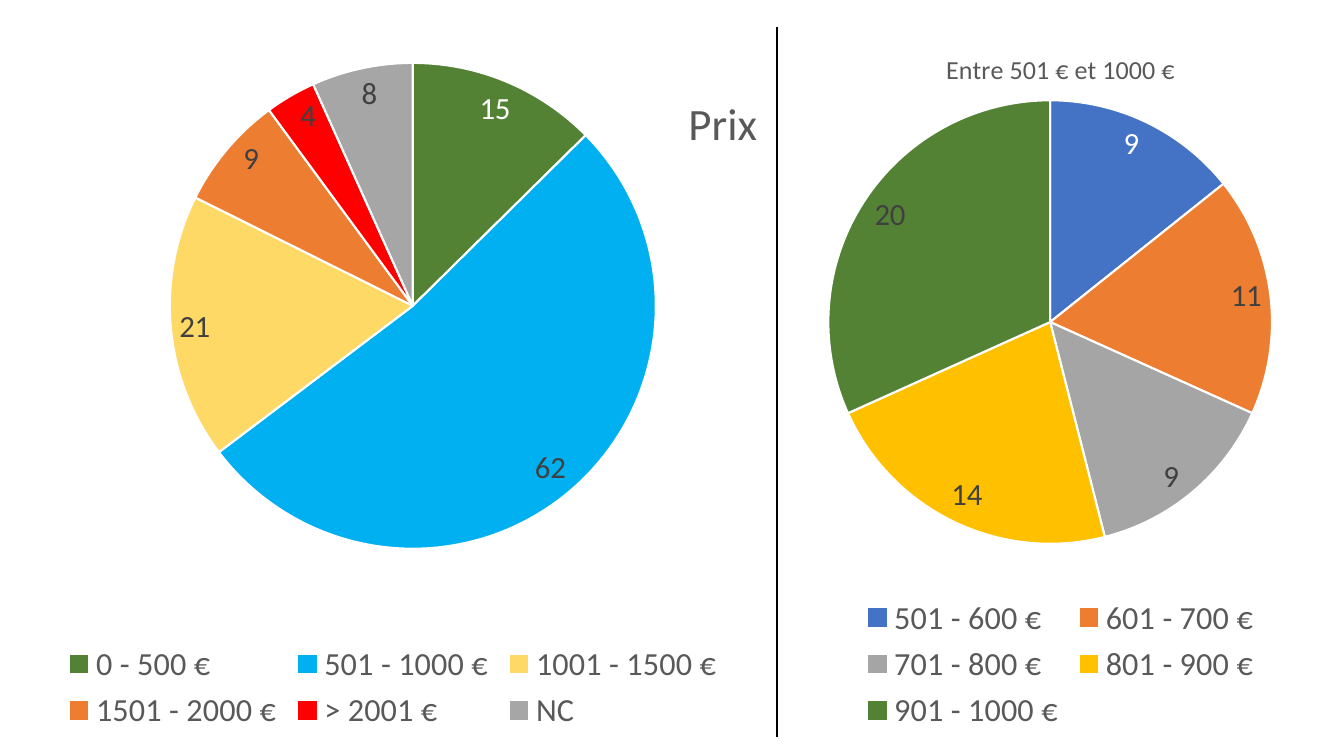
from lxml.etree import SubElement
from pptx import Presentation
from pptx.chart.data import CategoryChartData
from pptx.dml.color import RGBColor
from pptx.enum.chart import XL_CHART_TYPE, XL_LABEL_POSITION, XL_LEGEND_POSITION
from pptx.enum.shapes import MSO_CONNECTOR
from pptx.oxml.ns import qn
from pptx.util import Inches, Pt

COLORS = {
    "green": "548235", "sky": "00B0F0", "yellow": "FFD966", "orange": "ED7D31",
    "red": "FF0000", "grey": "A6A6A6", "blue": "4472C4", "mid_grey": "A5A5A5",
    "gold": "FFC000", "text": "595959", "label": "404040",
    "white": "FFFFFF", "black": "000000",
}
FONT = "Calibri"


def style_font(font, size, color):
    font.name, font.size, font.bold = FONT, Pt(size), False
    font.color.rgb = RGBColor.from_string(COLORS[color])


def set_layout(parent, index, shares, inner=False):
    """Place a chart part by shares of the chart area: x, y and optionally w, h."""
    for old in parent.findall(qn("c:layout")):
        parent.remove(old)
    layout = SubElement(parent, qn("c:layout"))
    parent.insert(index, layout)
    manual = SubElement(layout, qn("c:manualLayout"))
    if inner:
        SubElement(manual, qn("c:layoutTarget")).set("val", "inner")
    for axis in "xy":
        SubElement(manual, qn(f"c:{axis}Mode")).set("val", "edge")
    for name, share in zip("xywh", shares):
        SubElement(manual, qn(f"c:{name}")).set("val", str(share))


deck = Presentation()
deck.slide_width, deck.slide_height = Inches(13.33), Inches(7.5)
page = deck.slides.add_slide(deck.slide_layouts[6])

# Page areas: all prices on the left, the middle range on the right
split, top, bottom = Inches(7.71), Inches(0.27), Inches(7.31)
pies = [
    {
        "title": "Prix", "title_size": 32, "title_at": (0.865, 0.09),
        "area": (0, Inches(0.19), Inches(7.8), Inches(7.12)),
        "plot": (0.216, 0.061, 0.618, 0.677),
        "slices": [("0 - 500 €", 15, "green"), ("501 - 1000 €", 62, "sky"),
                   ("1001 - 1500 €", 21, "yellow"), ("1501 - 2000 €", 9, "orange"),
                   ("> 2001 €", 4, "red"), ("NC", 8, "grey")],
    },
    {
        "title": "Entre 501 € et 1000 €", "title_size": 18.6, "title_at": None,
        "area": (split, top, deck.slide_width - split, bottom - top),
        "plot": (0.09, 0.103, 0.783, 0.625),
        "slices": [("501 - 600 €", 9, "blue"), ("601 - 700 €", 11, "orange"),
                   ("701 - 800 €", 9, "mid_grey"), ("801 - 900 €", 14, "gold"),
                   ("901 - 1000 €", 20, "green")],
    },
]

for pie in pies:
    names, values, fills = zip(*pie["slices"])
    data = CategoryChartData()
    data.categories = names
    data.add_series("Series 1", values)
    chart = page.shapes.add_chart(XL_CHART_TYPE.PIE, *pie["area"], data).chart
    style_font(chart.font, 10, "black")

    # Title
    chart.has_title = True
    title = chart.chart_title
    title.text_frame.text = pie["title"]
    style_font(title.text_frame.paragraphs[0].runs[0].font, pie["title_size"], "text")
    if pie["title_at"]:
        set_layout(title.element, 1, pie["title_at"])

    # Legend
    chart.has_legend = True
    chart.legend.position = XL_LEGEND_POSITION.BOTTOM
    chart.legend.include_in_layout = False
    style_font(chart.legend.font, 23, "text")

    # Slices
    plot = chart.plots[0]
    plot.vary_by_categories = True
    set_layout(chart.element.find(".//" + qn("c:plotArea")), 0, pie["plot"], inner=True)
    series = plot.series[0]
    for index, fill in enumerate(fills):
        piece = series.points[index].format
        piece.fill.solid()
        piece.fill.fore_color.rgb = RGBColor.from_string(COLORS[fill])
        piece.line.width = Pt(1.5)
        piece.line.color.rgb = RGBColor.from_string(COLORS["white"])

    # Values, white on the first slice
    labels = series.data_labels
    labels.show_value = True
    labels.show_percentage = False
    labels.position = XL_LABEL_POSITION.BEST_FIT
    style_font(labels.font, 22, "label")
    first = series.points[0].data_label
    style_font(first.font, 22, "white")
    first.position = XL_LABEL_POSITION.BEST_FIT

# Divider
divider = page.shapes.add_connector(MSO_CONNECTOR.STRAIGHT, split, top, split, bottom)
divider.line.width = Pt(1.5)
divider.line.color.rgb = RGBColor.from_string(COLORS["black"])
SubElement(divider.element.spPr, qn("a:effectLst"))

deck.save("out.pptx")
